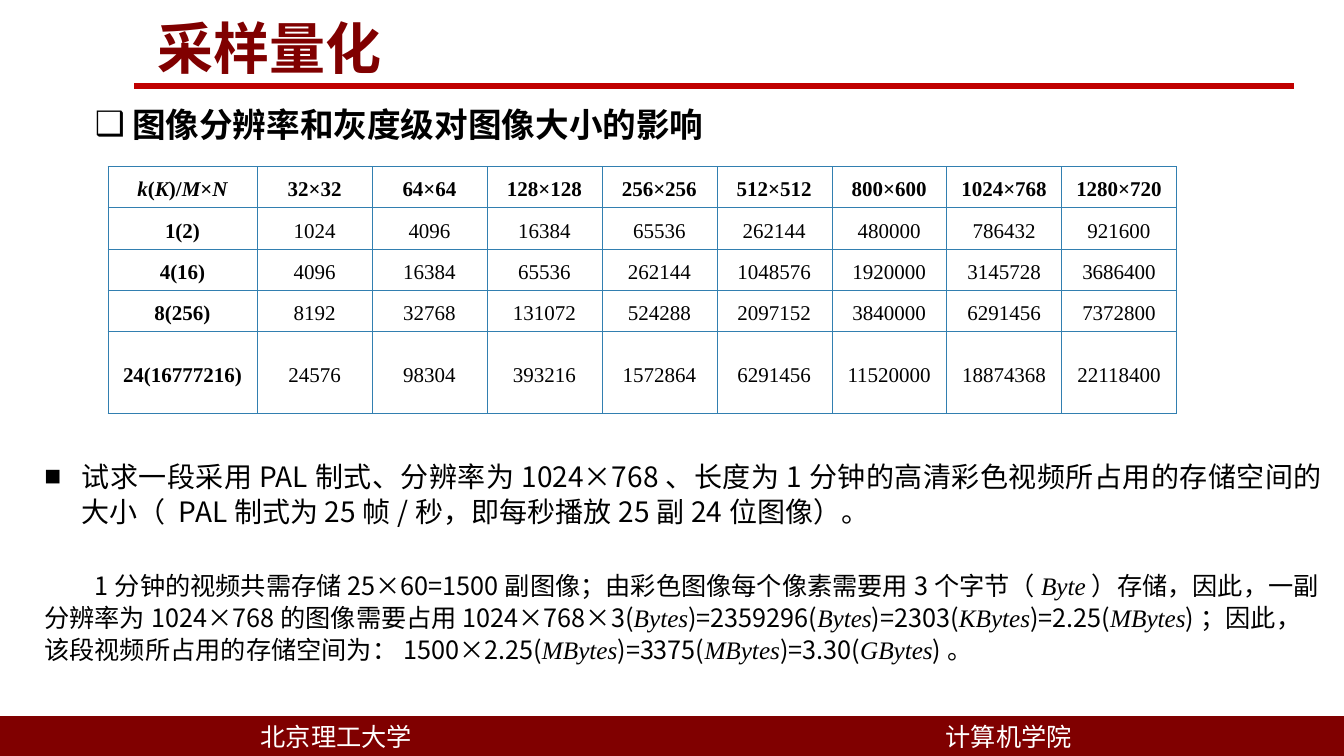
"""Build the slide on how resolution and grey levels affect image size."""
import pptx
import pptx.dml.color
import pptx.enum.shapes
import pptx.enum.text
import pptx.oxml
import pptx.oxml.ns
import pptx.util

EMU_PER_PX = 9144
SANS = "Noto Sans CJK SC"
SERIF = "Times New Roman"
COLORS = {
    "maroon": "800000",
    "rule": "C00000",
    "grid": "327FB0",
    "black": "000000",
    "white": "FFFFFF",
}
ALIGN = pptx.enum.text.PP_ALIGN
ANCHOR = pptx.enum.text.MSO_ANCHOR
DRAWING = pptx.oxml.ns.nsdecls("a")

SIZES = ["32×32", "64×64", "128×128", "256×256", "512×512",
         "800×600", "1024×768", "1280×720"]
STORAGE = [
    ["*k*(*K*)/*M*×*N*"] + SIZES,
    ["1(2)", "1024", "4096", "16384", "65536", "262144", "480000", "786432", "921600"],
    ["4(16)", "4096", "16384", "65536", "262144", "1048576", "1920000", "3145728", "3686400"],
    ["8(256)", "8192", "32768", "131072", "524288", "2097152", "3840000", "6291456", "7372800"],
    ["24(16777216)", "24576", "98304", "393216", "1572864", "6291456", "11520000",
     "18874368", "22118400"],
]
QUESTION = ("试求一段采用PAL制式、分辨率为1024×768、长度为1分钟的高清彩色视频所占用的存储空间的"
            "大小（ PAL制式为25帧/秒，即每秒播放25副24位图像）。")
ANSWER = ("1分钟的视频共需存储25×60=1500副图像；由彩色图像每个像素需要用3个字节（*Byte*）存储，"
          "因此，一副分辨率为1024×768的图像需要占用1024×768×3(*Bytes*)=2359296(*Bytes*)"
          "=2303(*KBytes*)=2.25(*MBytes*)；因此，该段视频所占用的存储空间为："
          "1500×2.25(*MBytes*)=3375(*MBytes*)=3.30(*GBytes*)。")


def px(length):
    return pptx.util.Emu(length * EMU_PER_PX)


def rgb(name):
    return pptx.dml.color.RGBColor.from_string(COLORS[name])


def add_runs(paragraph, text, size, color="black", font=SANS, bold=False):
    for index, part in enumerate(text.split("*")):
        if not part:
            continue
        italic = index % 2 == 1
        run = paragraph.add_run()
        run.text = part
        run.font.size = pptx.util.Pt(size)
        run.font.bold = bold
        run.font.italic = italic
        run.font.color.rgb = rgb(color)
        run.font.name = SERIF if italic else font
        run.font._element.append(
            pptx.oxml.parse_xml(f'<a:ea {DRAWING} typeface="{SANS}"/>'))


def format_paragraph(paragraph, left=0, indent=0, bullet=None, space_before=0, spacing=1.0):
    properties = paragraph._p.get_or_add_pPr()
    properties.set("marL", str(px(left)))
    properties.set("indent", str(px(indent)))
    mark = f'<a:buChar {DRAWING} char="{bullet}"/>' if bullet else f"<a:buNone {DRAWING}/>"
    properties.append(pptx.oxml.parse_xml(mark))
    paragraph.space_before = pptx.util.Pt(space_before)
    paragraph.line_spacing = spacing


def place_placeholder(shape, left, top, width, height, anchor=ANCHOR.TOP):
    shape.left, shape.top = px(left), px(top)
    shape.width, shape.height = px(width), px(height)
    frame = shape.text_frame
    frame.word_wrap = True
    frame.auto_size = pptx.enum.text.MSO_AUTO_SIZE.NONE
    frame.vertical_anchor = anchor
    return frame


def add_footer_band(slide, left, text):
    band = slide.shapes.add_shape(
        pptx.enum.shapes.MSO_SHAPE.RECTANGLE, px(left), px(711), px(667), px(39))
    band.shadow.inherit = False
    band.fill.solid()
    band.fill.fore_color.rgb = rgb("maroon")
    band.line.color.rgb = rgb("maroon")
    band.line.width = pptx.util.Pt(1)
    band.text_frame.vertical_anchor = ANCHOR.MIDDLE
    paragraph = band.text_frame.paragraphs[0]
    paragraph.alignment = ALIGN.CENTER
    add_runs(paragraph, text, 18, "white")


def add_title_rule(slide):
    rule = slide.shapes.add_connector(
        pptx.enum.shapes.MSO_CONNECTOR.STRAIGHT, px(133), px(85), px(1283), px(85))
    rule.line.color.rgb = rgb("rule")
    rule.line.width = pptx.util.Pt(4.5)
    rule._element.spPr.append(pptx.oxml.parse_xml(f"<a:effectLst {DRAWING}/>"))


def format_cell(cell, text, bold):
    cell.margin_left = cell.margin_right = cell.margin_top = cell.margin_bottom = 0
    cell.vertical_anchor = ANCHOR.MIDDLE
    properties = cell._tc.get_or_add_tcPr()
    for side in ("lnL", "lnR", "lnT", "lnB"):
        properties.append(pptx.oxml.parse_xml(
            f'<a:{side} {DRAWING} w="3175"><a:solidFill>'
            f'<a:srgbClr val="{COLORS["grid"]}"/></a:solidFill></a:{side}>'))
    cell.fill.solid()
    cell.fill.fore_color.rgb = rgb("white")
    paragraph = cell.text_frame.paragraphs[0]
    paragraph.alignment = ALIGN.CENTER
    paragraph.line_spacing = 1.25
    add_runs(paragraph, text, 15, font=SERIF, bold=bold)


def add_storage_table(slide):
    widths = [148] + [114] * len(SIZES)
    heights = [41] * 4 + [81]
    table = slide.shapes.add_table(
        len(heights), len(widths), px(107), px(165), px(sum(widths)), px(sum(heights))).table
    table.first_row = table.horz_banding = False
    for column, width in zip(table.columns, widths):
        column.width = px(width)
    for row, height in zip(table.rows, heights):
        row.height = px(height)
    for row_index, values in enumerate(STORAGE):
        for column_index, value in enumerate(values):
            bold = row_index == 0 or column_index == 0
            format_cell(table.cell(row_index, column_index), value, bold)


def main():
    presentation = pptx.Presentation()
    presentation.slide_width, presentation.slide_height = px(1333), px(750)
    slide = presentation.slides.add_slide(presentation.slide_layouts[3])
    title, heading, exercise = slide.placeholders

    add_footer_band(slide, 0, "北京理工大学")
    add_footer_band(slide, 667, "计算机学院")
    add_title_rule(slide)

    frame = place_placeholder(title, 146, 8, 888, 77, ANCHOR.MIDDLE)
    frame.margin_top = frame.margin_bottom = 0
    frame.paragraphs[0].alignment = ALIGN.LEFT
    add_runs(frame.paragraphs[0], "采样量化", 40, "maroon", bold=True)

    frame = place_placeholder(heading, 34, 98, 1280, 62)
    format_paragraph(frame.paragraphs[0], 87, -37, "❑")
    add_runs(frame.paragraphs[0], "图像分辨率和灰度级对图像大小的影响", 24, font=SERIF, bold=True)

    add_storage_table(slide)

    frame = place_placeholder(exercise, 34, 449, 1287, 250)
    question = frame.paragraphs[0]
    format_paragraph(question, 37, -37, "■", spacing=1.05)
    question.alignment = ALIGN.JUSTIFY
    add_runs(question, QUESTION, 20)
    answer = frame.add_paragraph()
    format_paragraph(answer, indent=50, space_before=29, spacing=1.05)
    add_runs(answer, ANSWER, 18)

    presentation.save("out.pptx")


if __name__ == "__main__":
    main()
